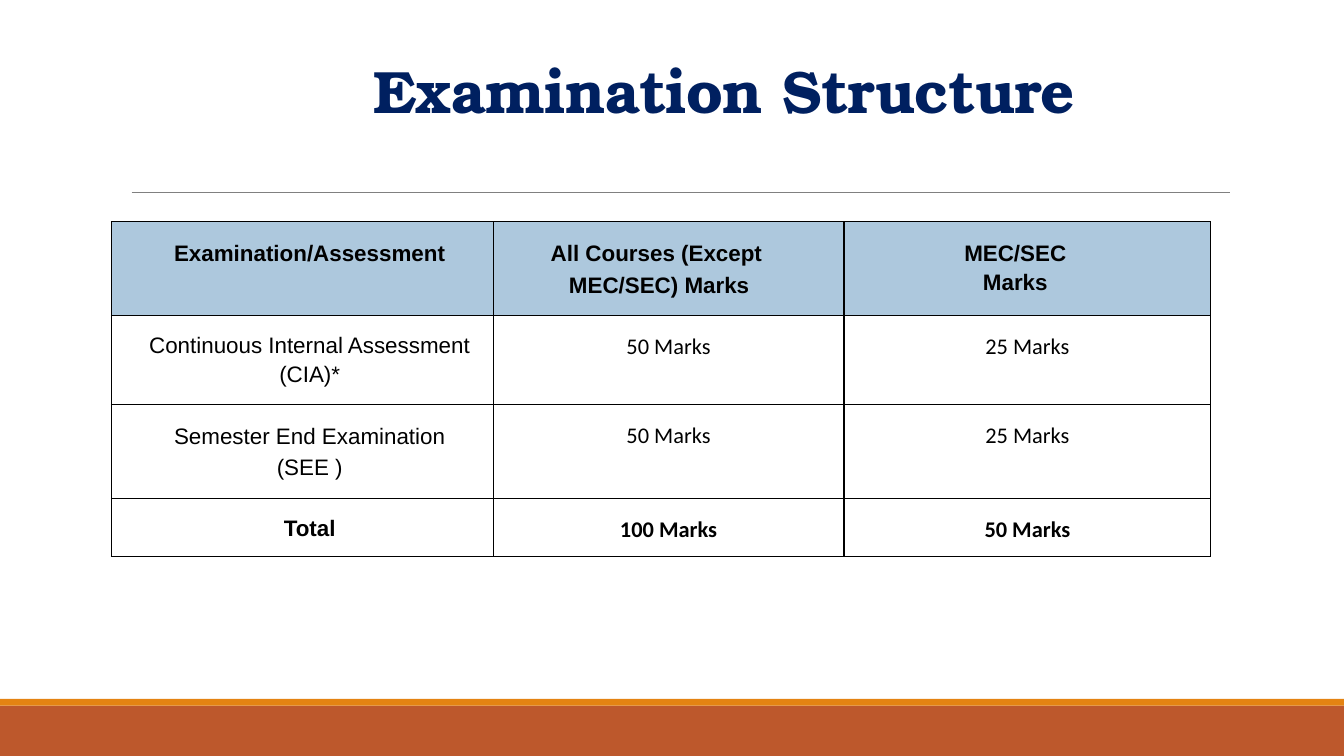
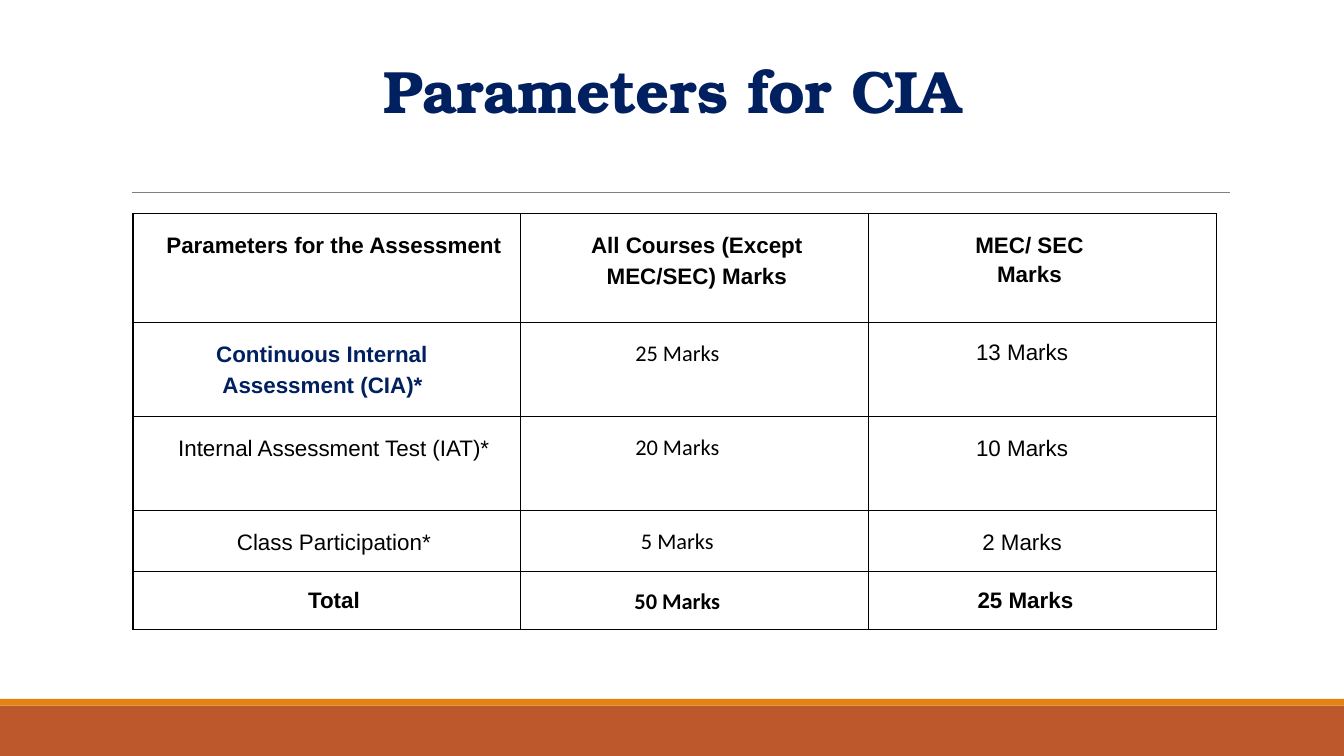
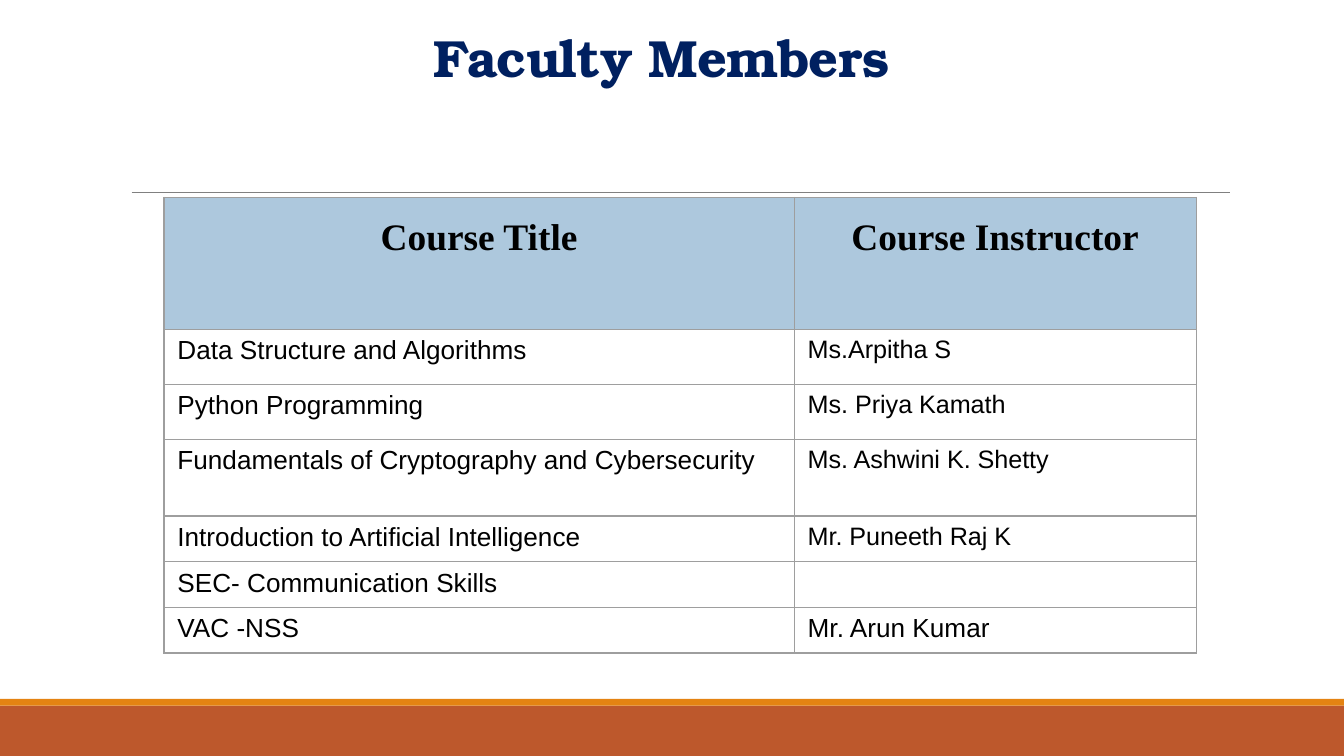
from dataclasses import dataclass

from lxml import etree
from pptx import Presentation
from pptx.dml.color import RGBColor
from pptx.enum import shapes, text
from pptx.oxml import ns
from pptx.util import Inches, Pt


@dataclass(frozen=True)
class Theme:
    navy: str = "002060"
    black: str = "000000"
    gray: str = "808080"
    grid: str = "9E9E9E"
    header: str = "ADC8DD"
    rust: str = "BD582C"
    orange: str = "E48312"
    title_font: str = "TeX Gyre Bonum"
    sans: str = "Arial"
    marks_font: str = "Calibri"
    serif: str = "Times New Roman"
    small: float = 12
    instructor: float = 13.5
    course: float = 14
    heading: float = 20


T = Theme()
WIDTH = 10
HEIGHT = WIDTH * 9 / 16
BANDS = [(5.25, 0.38, T.rust), (5.2, 0.05, T.orange)]
RULE = (0.98, 9.15, 1.43)

# Paragraph formats: indents in inches, spacing and sizes in points
BASE = dict(font=T.sans, size=T.small, color=T.black, bold=False, track=0,
            align="CENTER", left=0, first=0, right=0, ls=1.15, sb=0, sa=0)
TITLE = dict(font=T.title_font, size=32, color=T.navy, bold=True, track=-0.4, sb=18)
LABEL = dict(left=0.11, ls=1.24, sb=12, sa=12)
HEAD = LABEL | dict(bold=True)
TOTAL = dict(left=0.11, sb=1, bold=True)
MARKS = dict(font=T.marks_font)
MARKS_BOLD = MARKS | dict(bold=True)
CIA_ALL = MARKS | dict(right=0.25)
CIA_MEC = dict(ls=1.24, sb=12, sa=12, right=0.3)
FACULTY_HEAD = dict(font=T.serif, size=T.heading, bold=True)
COURSE = dict(size=T.course, align="LEFT", ls=1)
INSTRUCTOR = COURSE | dict(size=T.instructor)

FACULTY = [
    ("Data Structure and Algorithms", "Ms.Arpitha S"),
    ("Python Programming", "Ms. Priya Kamath"),
    ("Fundamentals of Cryptography and Cybersecurity", "Ms. Ashwini K. Shetty"),
    ("Introduction to Artificial Intelligence", "Mr. Puneeth Raj K"),
    ("SEC- Communication Skills", ""),
]

# Each cell is a list of (text, format) paragraphs
SLIDES = [
    dict(
        title="Examination Structure", title_at=(0.34, 0.22, 9.32, 1.04),
        title_format=TITLE | dict(left=0.78),
        at=(0.83, 1.65), cols=[2.84, 2.61, 2.73], rows=[0.7, 0.66, 0.7, 0.43],
        border=T.black, header=T.header, head_inset=(0.1, 0.1), inset=(0.1, 0.1),
        cells=[
            [[("Examination/Assessment", HEAD)],
             [("All Courses (Except MEC/SEC) Marks",
               dict(bold=True, left=0.24, first=-0.04, right=0.38, ls=1.25))],
             [("MEC/SEC", dict(bold=True, left=0.19, right=0.37, ls=1.23)),
              ("Marks", dict(bold=True, left=0.19, right=0.37, ls=1.18))]],
            [[("Continuous Internal Assessment (CIA)*", dict(left=0.11))],
             [("50 Marks", MARKS)], [("25 Marks", MARKS)]],
            [[("Semester End Examination (SEE )", LABEL | dict(left=0.18, right=0.07))],
             [("50 Marks", MARKS)], [("25 Marks", MARKS)]],
            [[("Total", TOTAL)],
             [("100 Marks", MARKS_BOLD)], [("50 Marks", MARKS_BOLD)]],
        ]),
    dict(
        title="Parameters for CIA", title_at=(0.34, 0.22, 9.32, 1.04),
        title_format=TITLE,
        at=(0.99, 1.59), cols=[2.88, 2.59, 2.59], rows=[0.81, 0.7, 0.7, 0.45, 0.43],
        border=T.black, header=None, head_inset=(0.1, 0.1), inset=(0.1, 0.1),
        cells=[
            [[("Parameters for the Assessment", HEAD)],
             [("All Courses (Except MEC/SEC) Marks",
               dict(bold=True, left=0.04, ls=1.24, sb=12))],
             [("MEC/ SEC", dict(bold=True, left=0.11, right=0.3, ls=1.24)),
              ("Marks", dict(bold=True, left=0.11, right=0.3, ls=1.16))]],
            [[("Continuous Internal Assessment (CIA)*",
               dict(bold=True, color=T.navy, left=0.12, first=-0.01, right=0.18, ls=1.25))],
             [("25 Marks", CIA_ALL)], [("13 Marks", dict(right=0.3))]],
            [[("Internal Assessment Test (IAT)*", LABEL)],
             [("20 Marks", CIA_ALL)], [("10 Marks", CIA_MEC)]],
            [[("Class Participation*", LABEL)],
             [("5 Marks", CIA_ALL)], [("2 Marks", CIA_MEC)]],
            [[("Total", TOTAL)],
             [("50 Marks", CIA_ALL | dict(bold=True))],
             [("25 Marks", dict(bold=True, right=0.25))]],
        ]),
    dict(
        title="Faculty Members", title_at=(0.26, 0.09, 9.32, 0.6),
        title_format=TITLE | dict(size=28, ls=1, sb=0),
        at=(1.22, 1.47), cols=[4.69, 2.99],
        rows=[0.98, 0.41, 0.41, 0.57, 0.34, 0.34, 0.34],
        border=T.grid, header=T.header, head_inset=(0.07, 0.1), inset=(0.1, 0.05),
        cells=[
            [[("Course Title", FACULTY_HEAD)], [("Course Instructor", FACULTY_HEAD)]],
            *[[[(course, COURSE)], [(name, INSTRUCTOR)]] for course, name in FACULTY],
            [[("VAC -NSS", COURSE)], [("Mr. Arun Kumar", COURSE)]],
        ]),
]


def rgb(color):
    return RGBColor.from_string(color)


def set_attrs(obj, values):
    for name, value in values.items():
        setattr(obj, name, value)


def write(tf, paragraphs):
    for i, (words, changes) in enumerate(paragraphs):
        f = BASE | changes
        p = tf.add_paragraph() if i else tf.paragraphs[0]
        set_attrs(p, dict(alignment=text.PP_ALIGN[f["align"]], line_spacing=f["ls"],
                          space_before=Pt(f["sb"]), space_after=Pt(f["sa"])))
        pPr = p._p.get_or_add_pPr()
        for name, key in (("marL", "left"), ("indent", "first"), ("marR", "right")):
            pPr.set(name, str(Inches(f[key])))
        if not words:
            # An empty cell keeps the row's type size
            end = etree.SubElement(p._p, ns.qn("a:endParaRPr"))
            end.set("sz", str(round(f["size"] * 100)))
            continue
        r = p.add_run()
        r.text = words
        set_attrs(r.font, dict(name=f["font"], size=Pt(f["size"]), bold=f["bold"]))
        r.font.color.rgb = rgb(f["color"])
        if f["track"]:
            r._r.get_or_add_rPr().set("spc", str(round(f["track"] * 100)))


def set_insets(box, inset):
    x, y = map(Inches, inset)
    set_attrs(box, dict(margin_left=x, margin_right=x, margin_top=y, margin_bottom=y))


def add_border(cell, color):
    tcPr = cell._tc.get_or_add_tcPr()
    for side in "LRTB":
        ln = etree.SubElement(tcPr, ns.qn("a:ln" + side), w=str(Pt(0.75)))
        fill = etree.SubElement(ln, ns.qn("a:solidFill"))
        etree.SubElement(fill, ns.qn("a:srgbClr"), val=color)


def add_title(s, data):
    title = s.shapes.title
    set_attrs(title, dict(zip(("left", "top", "width", "height"),
                              map(Inches, data["title_at"]))))
    tf = title.text_frame
    set_attrs(tf, dict(word_wrap=True, auto_size=text.MSO_AUTO_SIZE.NONE,
                       vertical_anchor=text.MSO_ANCHOR.TOP))
    set_insets(tf, (0.1, 0.1))
    write(tf, [(data["title"], data["title_format"])])


def add_grid(s, data):
    cols, rows = data["cols"], data["rows"]
    box = [*data["at"], sum(cols), sum(rows)]
    table = s.shapes.add_table(len(rows), len(cols), *map(Inches, box)).table
    set_attrs(table, dict(first_row=False, horz_banding=False))
    for col, width in zip(table.columns, cols):
        col.width = Inches(width)
    for i, (row, height) in enumerate(zip(table.rows, rows)):
        row.height = Inches(height)
        for cell, paragraphs in zip(row.cells, data["cells"][i]):
            set_insets(cell, data["inset"] if i else data["head_inset"])
            add_border(cell, data["border"])
            if i == 0 and data["header"]:
                cell.fill.solid()
                cell.fill.fore_color.rgb = rgb(data["header"])
            else:
                cell.fill.background()
            write(cell.text_frame, paragraphs)


def decorate_layout(layout, s):
    """Draw the bands and the rule once, and move them to the shared layout."""
    for ph in list(layout.placeholders):
        if ph.placeholder_format.type != shapes.PP_PLACEHOLDER.TITLE:
            ph.element.getparent().remove(ph.element)
    parts = []
    for top, height, color in BANDS:
        sp = s.shapes.add_shape(shapes.MSO_SHAPE.RECTANGLE, 0, Inches(top),
                                Inches(WIDTH), Inches(height))
        sp.shadow.inherit = False
        sp.fill.solid()
        sp.fill.fore_color.rgb = rgb(color)
        sp.line.fill.background()
        parts.append(sp)
    x1, x2, y = map(Inches, RULE)
    rule = s.shapes.add_connector(shapes.MSO_CONNECTOR.STRAIGHT, x1, y, x2, y)
    rule.line.color.rgb = rgb(T.gray)
    rule.line.width = Pt(0.5)
    etree.SubElement(rule.element.spPr, ns.qn("a:effectLst"))
    for part in parts + [rule]:
        layout.shapes.element.append(part.element)


def main():
    prs = Presentation()
    prs.slide_width, prs.slide_height = Inches(WIDTH), Inches(HEIGHT)
    layout = prs.slide_layouts.get_by_name("Title Only")
    for i, data in enumerate(SLIDES):
        s = prs.slides.add_slide(layout)
        if i == 0:
            decorate_layout(layout, s)
        add_title(s, data)
        add_grid(s, data)
    prs.save("out.pptx")


if __name__ == "__main__":
    main()
